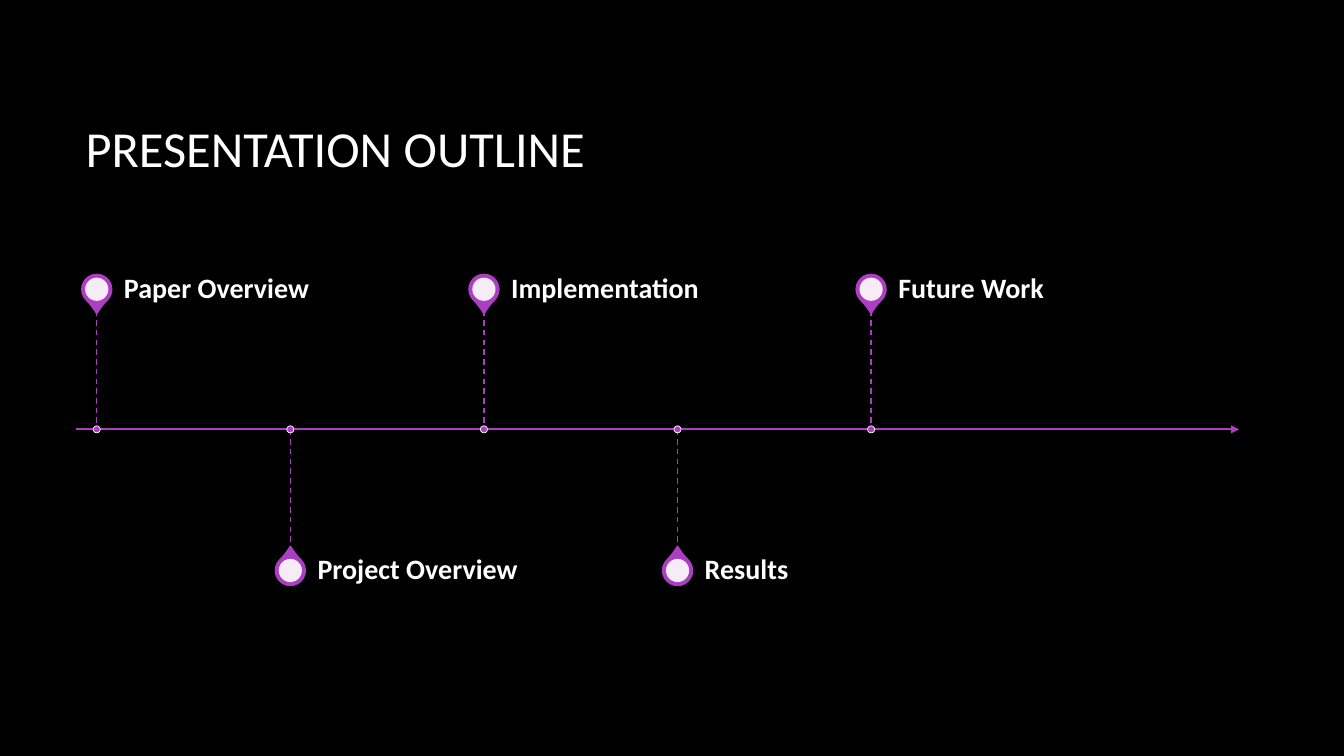
import pptx
import pptx.dml.color
import pptx.enum.dml
import pptx.enum.shapes
import pptx.enum.text
import pptx.oxml
import pptx.oxml.ns
import pptx.util
from pptx.util import Inches

COLORS = {"background": "000000", "accent": "AC3EC1", "white": "FFFFFF"}
RGB = {name: pptx.dml.color.RGBColor.from_string(code) for name, code in COLORS.items()}
SHAPES = pptx.enum.shapes.MSO_SHAPE
DRAWING_NS = pptx.oxml.ns.nsdecls("a")

MILESTONES = ["Paper Overview", "Project Overview", "Implementation", "Results", "Future Work"]
FIRST_X, STEP_X = 0.96, 1.92
AXIS_Y = 4.26
# Pin centre, stem end and pin rotation for milestones above and below the axis
SIDES = [(2.87, 3.08, 135), (5.66, 5.45, 315)]

deck = pptx.Presentation()
deck.slide_width, deck.slide_height = Inches(13.33), Inches(7.5)
slide = deck.slides.add_slide(deck.slide_layouts[6])
slide.background.fill.solid()
slide.background.fill.fore_color.rgb = RGB["background"]


def add_centred(preset, x, y, size, fill, line=None, width=0):
    """Add a square-sized shape centred on x, y; without a line colour it has no outline."""
    shape = slide.shapes.add_shape(
        preset, Inches(x - size / 2), Inches(y - size / 2), Inches(size), Inches(size))
    shape.shadow.inherit = False
    shape.fill.solid()
    shape.fill.fore_color.rgb = RGB[fill]
    if line:
        shape.line.color.rgb = RGB[line]
        shape.line.width = pptx.util.Pt(width)
    else:
        shape.line.fill.background()
    return shape


def add_accent_line(x1, y1, x2, y2, width):
    line = slide.shapes.add_connector(
        pptx.enum.shapes.MSO_CONNECTOR.STRAIGHT, Inches(x1), Inches(y1), Inches(x2), Inches(y2))
    line.line.color.rgb = RGB["accent"]
    line.line.width = pptx.util.Pt(width)
    line._element.spPr.append(pptx.oxml.parse_xml(f"<a:effectLst {DRAWING_NS}/>"))
    return line


# Title
title = slide.shapes.add_textbox(Inches(0.75), Inches(0.67), Inches(11.08), Inches(1.59))
title.text_frame.word_wrap = True
title.text_frame.vertical_anchor = pptx.enum.text.MSO_ANCHOR.MIDDLE
title.text_frame.text = "PRESENTATION OUTLINE"
title_font = title.text_frame.paragraphs[0].runs[0].font
title_font.name, title_font.size = "Calibri", pptx.util.Pt(36)
title_font.color.rgb = RGB["white"]

# Time axis
axis = add_accent_line(0.75, AXIS_Y, 12.29, AXIS_Y, 1.5)
axis.get_or_add_ln().append(pptx.oxml.parse_xml(f'<a:tailEnd {DRAWING_NS} type="triangle"/>'))

# Milestones, alternately above and below the axis
for index, milestone in enumerate(MILESTONES):
    x = FIRST_X + index * STEP_X
    pin_y, stem_y, rotation = SIDES[index % 2]

    pin = add_centred(SHAPES.TEAR, x, pin_y, 0.29, "accent", "accent", 1.5)
    pin.adjustments[0] = 1.15
    pin.rotation = rotation

    pin_hole = add_centred(SHAPES.OVAL, x, pin_y, 0.23, "white")
    hole_color = pin_hole._element.spPr.find(".//" + pptx.oxml.ns.qn("a:srgbClr"))
    hole_color.append(pptx.oxml.parse_xml(f'<a:alpha {DRAWING_NS} val="90000"/>'))

    label = slide.shapes.add_textbox(
        Inches(x + 0.21), Inches(pin_y - 0.21), Inches(3.2), Inches(0.42))
    frame = label.text_frame
    frame.word_wrap = True
    frame.vertical_anchor = pptx.enum.text.MSO_ANCHOR.MIDDLE
    frame.margin_left, frame.margin_right = Inches(0.06), Inches(0.14)
    frame.margin_top = frame.margin_bottom = 0
    frame.text = milestone
    frame.paragraphs[0].line_spacing = 0.9
    label_font = frame.paragraphs[0].runs[0].font
    label_font.name, label_font.size, label_font.bold = "Calibri", pptx.util.Pt(20), True
    label_font.color.rgb = RGB["white"]

    top_y, bottom_y = sorted((stem_y, AXIS_Y))
    stem = add_accent_line(x, top_y, x, bottom_y, 1)
    stem.line.dash_style = pptx.enum.dml.MSO_LINE.DASH

    add_centred(SHAPES.OVAL, x, AXIS_Y, 0.07, "accent", "white", 0.5)

deck.save("out.pptx")
